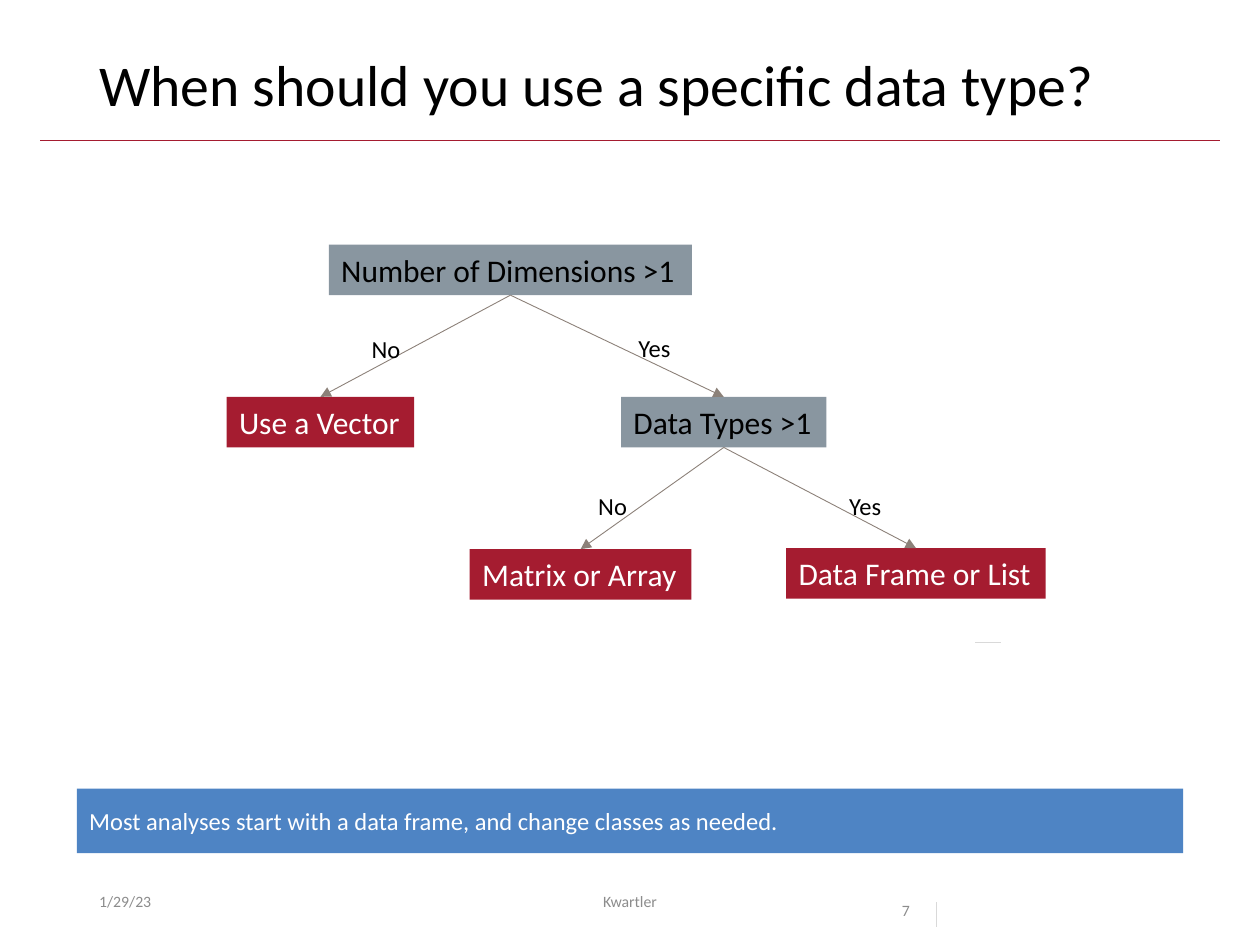
from lxml.etree import SubElement
from pptx import Presentation
from pptx.dml.color import RGBColor
from pptx.enum.shapes import MSO_CONNECTOR, MSO_SHAPE
from pptx.enum.text import MSO_ANCHOR, MSO_AUTO_SIZE, PP_ALIGN
from pptx.oxml.ns import qn
from pptx.util import Cm, Pt

BLACK, WHITE, MUTED = "000000", "FFFFFF", "8C8C8C"
SLATE, CRIMSON, BLUE = "8996A0", "A51C30", "4E84C4"
BRANCH, TICK = "8C8179", "D9D9D9"
BOTTOM, TOP = 2, 0
NODE_HEIGHT, LABEL_HEIGHT = 1.02, 0.86


def color(value):
    return RGBColor.from_string(value)


def write(shape, text, size, ink, anchor=MSO_ANCHOR.TOP, align=PP_ALIGN.LEFT,
          spacing=None, fitted=False):
    frame = shape.text_frame
    frame.text = text
    frame.word_wrap = not fitted
    frame.auto_size = MSO_AUTO_SIZE.SHAPE_TO_FIT_TEXT if fitted else MSO_AUTO_SIZE.NONE
    frame.vertical_anchor = anchor
    paragraph = frame.paragraphs[0]
    paragraph.alignment = align
    if spacing:
        paragraph.line_spacing = spacing
    font = paragraph.runs[0].font
    font.name = "Calibri"
    font.size = Pt(size)
    font.color.rgb = color(ink)


def add_text(page, text, left, top, width, height, size, ink, **layout):
    box = page.shapes.add_textbox(Cm(left), Cm(top), Cm(width), Cm(height))
    write(box, text, size, ink, **layout)


def add_box(page, text, left, top, width, height, fill, size, ink, **layout):
    box = page.shapes.add_shape(
        MSO_SHAPE.RECTANGLE, Cm(left), Cm(top), Cm(width), Cm(height))
    box.shadow.inherit = False
    box.fill.solid()
    box.fill.fore_color.rgb = color(fill)
    box.line.fill.background()
    write(box, text, size, ink, **layout)
    return box


def add_node(page, text, left, top, width, fill, ink):
    return add_box(page, text, left, top, width, NODE_HEIGHT, fill, 18, ink, fitted=True)


def add_line(page, ink, left=0, top=0, right=0, bottom=0):
    line = page.shapes.add_connector(
        MSO_CONNECTOR.STRAIGHT, Cm(left), Cm(top), Cm(right), Cm(bottom))
    line.line.color.rgb = color(ink)
    line.line.width = Pt(0.5)
    SubElement(line._element.spPr, qn("a:effectLst"))
    return line


def add_branch(page, parent, child):
    branch = add_line(page, BRANCH)
    branch.begin_connect(parent, BOTTOM)
    branch.end_connect(child, TOP)
    SubElement(branch.line._get_or_add_ln(), qn("a:tailEnd"), type="triangle")


def add_tree(page):
    dimensions = add_node(page, "Number of Dimensions >1", 6.63, 4.93, 7.32, SLATE, BLACK)
    vector = add_node(page, "Use a Vector", 4.57, 8, 3.78, CRIMSON, WHITE)
    types = add_node(page, "Data Types >1", 12.52, 8, 4.14, SLATE, BLACK)
    matrix = add_node(page, "Matrix or Array", 9.47, 11.07, 4.47, CRIMSON, WHITE)
    frame = add_node(page, "Data Frame or List", 15.85, 11.05, 5.23, CRIMSON, WHITE)

    for parent, child in ((dimensions, vector), (dimensions, types),
                          (types, matrix), (types, frame)):
        add_branch(page, parent, child)

    for answer, left, top, width in (("No", 7.24, 6.6, 1.09), ("Yes", 12.62, 6.58, 1.17),
                                     ("No", 11.81, 9.78, 1.09), ("Yes", 16.87, 9.78, 1.17)):
        add_text(page, answer, left, top, width, LABEL_HEIGHT, 14, BLACK, fitted=True)


def add_footer(page):
    top, height = 17.65, 1.02
    add_text(page, "1/29/23", 1.75, top, 5.72, height, 9, MUTED, anchor=MSO_ANCHOR.MIDDLE)
    add_text(page, "Kwartler", 8.41, top, 8.58, height, 9, MUTED,
             anchor=MSO_ANCHOR.MIDDLE, align=PP_ALIGN.CENTER)
    add_text(page, "7", 17.93, top, 2.39, height, 9, MUTED, spacing=2.0)
    add_line(page, TICK, 18.87, 18.19, 18.87, 18.69)


def main():
    deck = Presentation()
    deck.slide_width, deck.slide_height = Cm(25.4), Cm(19.05)
    page = deck.slides.add_slide(deck.slide_layouts[6])
    add_line(page, CRIMSON, 0.81, 2.84, 24.59, 2.84)
    add_text(page, "When should you use a specific data type?",
             1.75, 1.02, 21.9, 1.65, 33, BLACK, spacing=0.9)
    add_tree(page)
    add_line(page, TICK, 19.66, 12.95, 20.17, 12.95)
    add_box(page, "Most analyses start with a data frame, and change classes as needed.",
            1.55, 15.9, 22.3, 1.3, BLUE, 14, WHITE, anchor=MSO_ANCHOR.MIDDLE)
    add_footer(page)
    deck.save("out.pptx")


if __name__ == "__main__":
    main()
